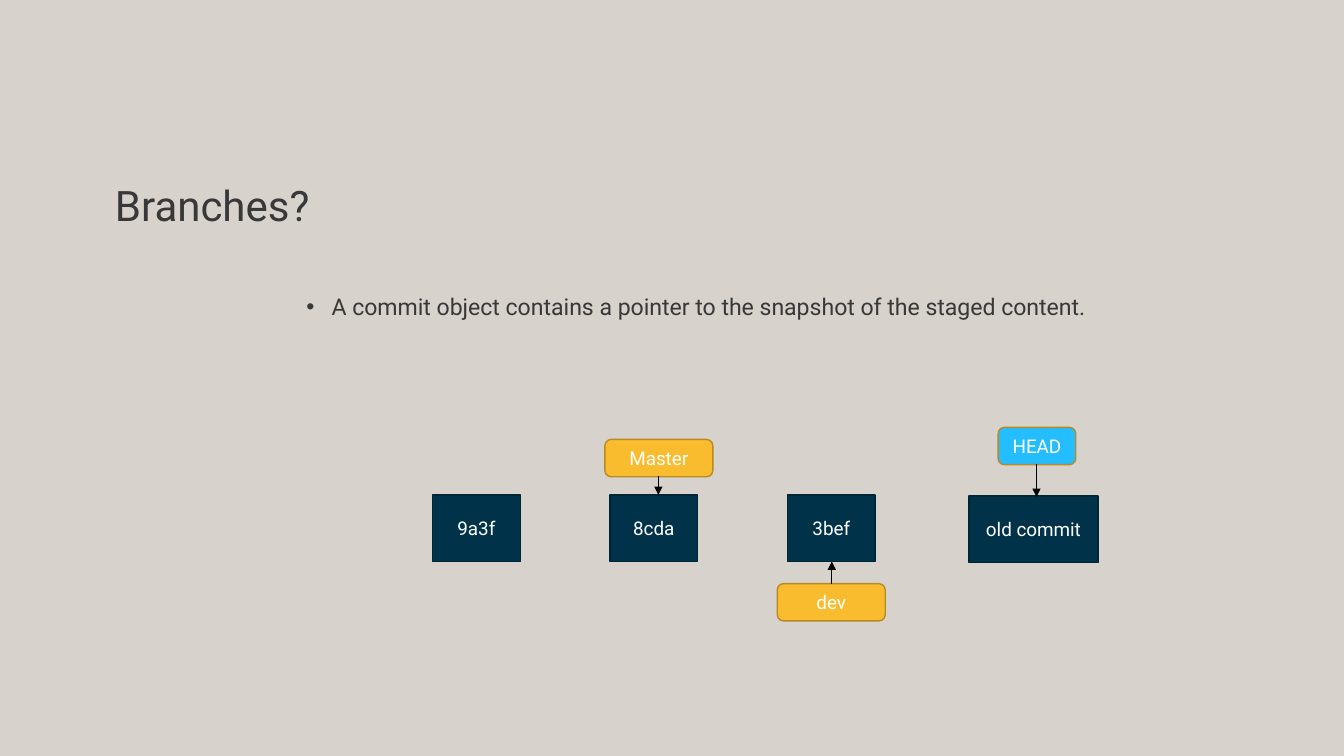
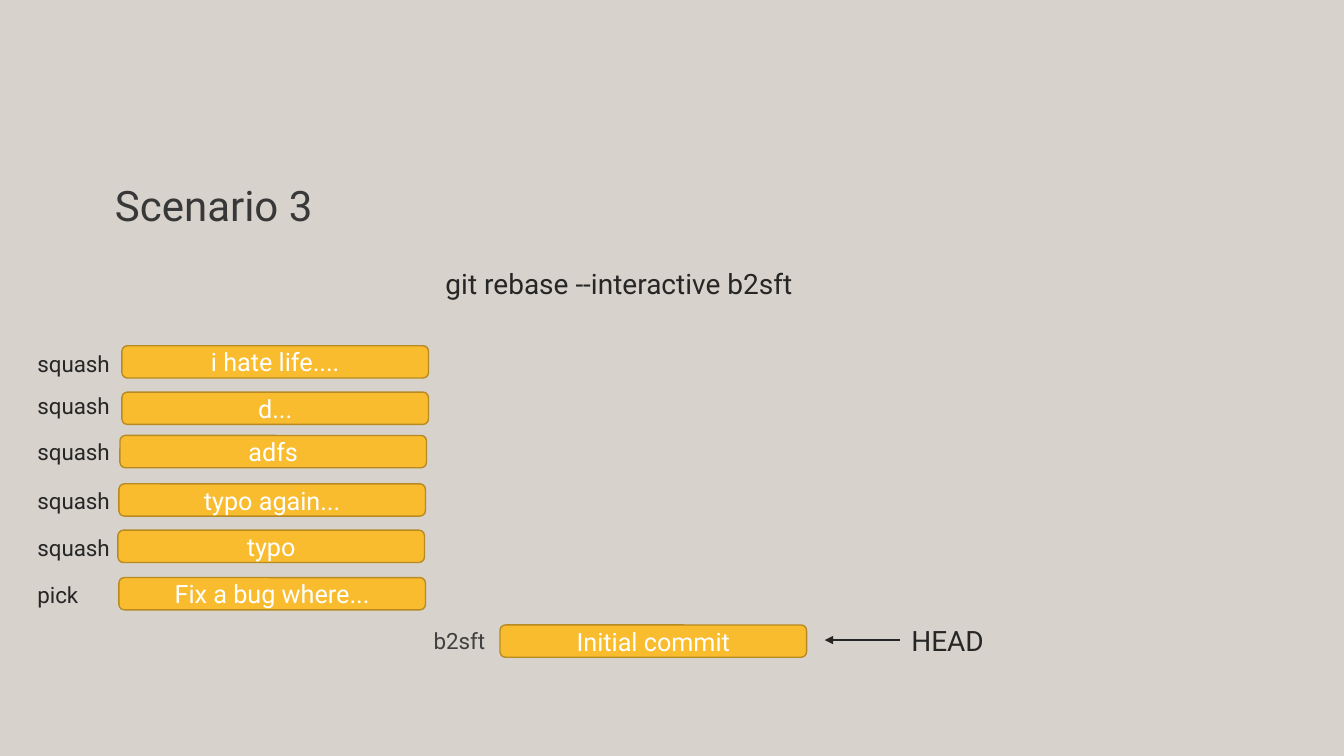
from dataclasses import dataclass

from lxml import etree
from pptx import Presentation
from pptx.dml.color import RGBColor
from pptx.enum.shapes import MSO_CONNECTOR as Connector, MSO_SHAPE as Preset
from pptx.enum.text import MSO_ANCHOR as Anchor, MSO_AUTO_SIZE as AutoSize, PP_ALIGN as Align
from pptx.oxml.ns import qn
from pptx.util import Inches, Pt


@dataclass(frozen=True)
class Theme:
    font: str = "Roboto"
    background: str = "D7D2CB"
    title: str = "383838"
    ink: str = "262626"
    muted: str = "404040"
    arrow: str = "000000"
    white: str = "FFFFFF"
    commit: str = "003349"
    commit_line: str = "002636"
    branch: str = "F9BC2E"
    branch_line: str = "B88B22"
    head: str = "24BDFF"
    title_size: float = 30
    heading_size: float = 20
    message_size: float = 18
    bullet_size: float = 16.5
    label_size: float = 16
    node_size: float = 13.5


THEME = Theme()
TITLE_ONLY = 5


def color(value):
    return RGBColor.from_string(value)


def write(shape, text, *, size, ink, align=Align.LEFT, anchor=Anchor.TOP,
          line_spacing=None, bullet=False, inset=(0.1, 0.05)):
    frame = shape.text_frame
    frame.word_wrap = True
    frame.auto_size = AutoSize.NONE
    frame.vertical_anchor = anchor
    frame.margin_left = frame.margin_right = Inches(inset[0])
    frame.margin_top = frame.margin_bottom = Inches(inset[1])
    frame.text = text
    paragraph = frame.paragraphs[0]
    paragraph.alignment = align
    if line_spacing:
        paragraph.line_spacing = line_spacing
    if bullet:
        properties = paragraph._p.get_or_add_pPr()
        properties.set("marL", str(Inches(0.75)))
        properties.set("indent", str(Inches(-0.25)))
        etree.SubElement(properties, qn("a:buFont"), typeface="Arial")
        etree.SubElement(properties, qn("a:buChar"), char="•")
    font = paragraph.runs[0].font
    font.name = THEME.font
    font.size = Pt(size)
    font.color.rgb = color(ink)


class Deck:
    def __init__(self):
        self.presentation = Presentation()
        self.presentation.slide_width = Inches(13.33)
        self.presentation.slide_height = Inches(7.5)
        fill = self.presentation.slide_master.background.fill
        fill.solid()
        fill.fore_color.rgb = color(THEME.background)
        self.slide = None

    def new_slide(self, title):
        layout = self.presentation.slide_layouts[TITLE_ONLY]
        self.slide = self.presentation.slides.add_slide(layout)
        placeholder = self.slide.shapes.title
        placeholder.left, placeholder.top = Inches(1.04), Inches(0.41)
        placeholder.width, placeholder.height = Inches(11.26), Inches(1.93)
        write(placeholder, title, size=THEME.title_size, ink=THEME.title,
              anchor=Anchor.BOTTOM, line_spacing=0.9)

    def text(self, text, left, top, width, height, **text_format):
        box = self.slide.shapes.add_textbox(
            Inches(left), Inches(top), Inches(width), Inches(height))
        write(box, text, **text_format)

    def label(self, text, left, top, ink=THEME.ink):
        self.text(text, left, top, 1.01, 0.35, size=THEME.label_size, ink=ink,
                  inset=(0.07, 0.04))

    def heading(self, text, left, top, width):
        self.text(text, left, top, width, 0.44, size=THEME.heading_size, ink=THEME.ink)

    def box(self, text, left, top, width, height, preset, fill, line, size):
        shape = self.slide.shapes.add_shape(
            preset, Inches(left), Inches(top), Inches(width), Inches(height))
        shape.shadow.inherit = False
        shape.fill.solid()
        shape.fill.fore_color.rgb = color(fill)
        shape.line.color.rgb = color(line)
        shape.line.width = Pt(1)
        write(shape, text, size=size, ink=THEME.white, align=Align.CENTER,
              anchor=Anchor.MIDDLE)

    def commit(self, text, left, top=4.91, width=0.87):
        self.box(text, left, top, width, 0.66, Preset.RECTANGLE,
                 THEME.commit, THEME.commit_line, THEME.node_size)

    def reference(self, text, left, top, width=1.07, fill=THEME.branch):
        self.box(text, left, top, width, 0.37, Preset.ROUNDED_RECTANGLE,
                 fill, THEME.branch_line, THEME.node_size)

    def message(self, text, left, top):
        self.box(text, left, top, 3.04, 0.32, Preset.ROUNDED_RECTANGLE,
                 THEME.branch, THEME.branch_line, THEME.message_size)

    def arrow(self, start, end, ink=THEME.arrow, width=0.5):
        connector = self.slide.shapes.add_connector(
            Connector.STRAIGHT, *(Inches(value) for value in (*start, *end)))
        connector.line.color.rgb = color(ink)
        connector.line.width = Pt(width)
        etree.SubElement(connector.line._get_or_add_ln(), qn("a:tailEnd"), type="triangle")
        etree.SubElement(connector._element.spPr, qn("a:effectLst"))


def add_branches(deck):
    deck.new_slide("Branches?")
    deck.text("A commit object contains a pointer to the snapshot of the staged content.",
              2.44, 2.91, 8.45, 0.56, size=THEME.bullet_size, ink=THEME.title,
              line_spacing=0.8, bullet=True)
    for index, name in enumerate(("9a3f", "8cda", "3bef")):
        deck.commit(name, 4.29 + 1.76 * index)
    deck.commit("old commit", 9.61, top=4.92, width=1.28)
    deck.reference("Master", 6, 4.36)
    deck.reference("dev", 7.71, 5.79)
    deck.reference("HEAD", 9.9, 4.24, width=0.77, fill=THEME.head)
    for x, start, end in ((8.25, 5.79, 5.57), (6.53, 4.72, 4.91), (10.28, 4.6, 4.93)):
        deck.arrow((x, start), (x, end))


def add_scenario(deck):
    deck.new_slide("Scenario 3")
    deck.heading("git rebase --interactive b2sft", 4.32, 2.59, 3.78)
    rebase_steps = (
        ("squash", 3.43, "i hate life....", 1.21, 3.43),
        ("squash", 3.85, "d...", 1.21, 3.89),
        ("squash", 4.31, "adfs", 1.19, 4.32),
        ("squash", 4.79, "typo again...", 1.18, 4.8),
        ("squash", 5.26, "typo", 1.17, 5.26),
        ("pick", 5.72, "Fix a bug where...", 1.18, 5.73),
    )
    for action, label_top, message, left, top in rebase_steps:
        deck.label(action, 0.3, label_top)
        deck.message(message, left, top)
    deck.label("b2sft", 4.23, 6.18, ink=THEME.muted)
    deck.message("Initial commit", 4.96, 6.2)
    deck.arrow((8.93, 6.35), (8.18, 6.35), ink=THEME.ink, width=1)
    deck.heading("HEAD", 8.94, 6.14, 3)


def main():
    deck = Deck()
    add_branches(deck)
    add_scenario(deck)
    deck.presentation.save("out.pptx")


if __name__ == "__main__":
    main()
